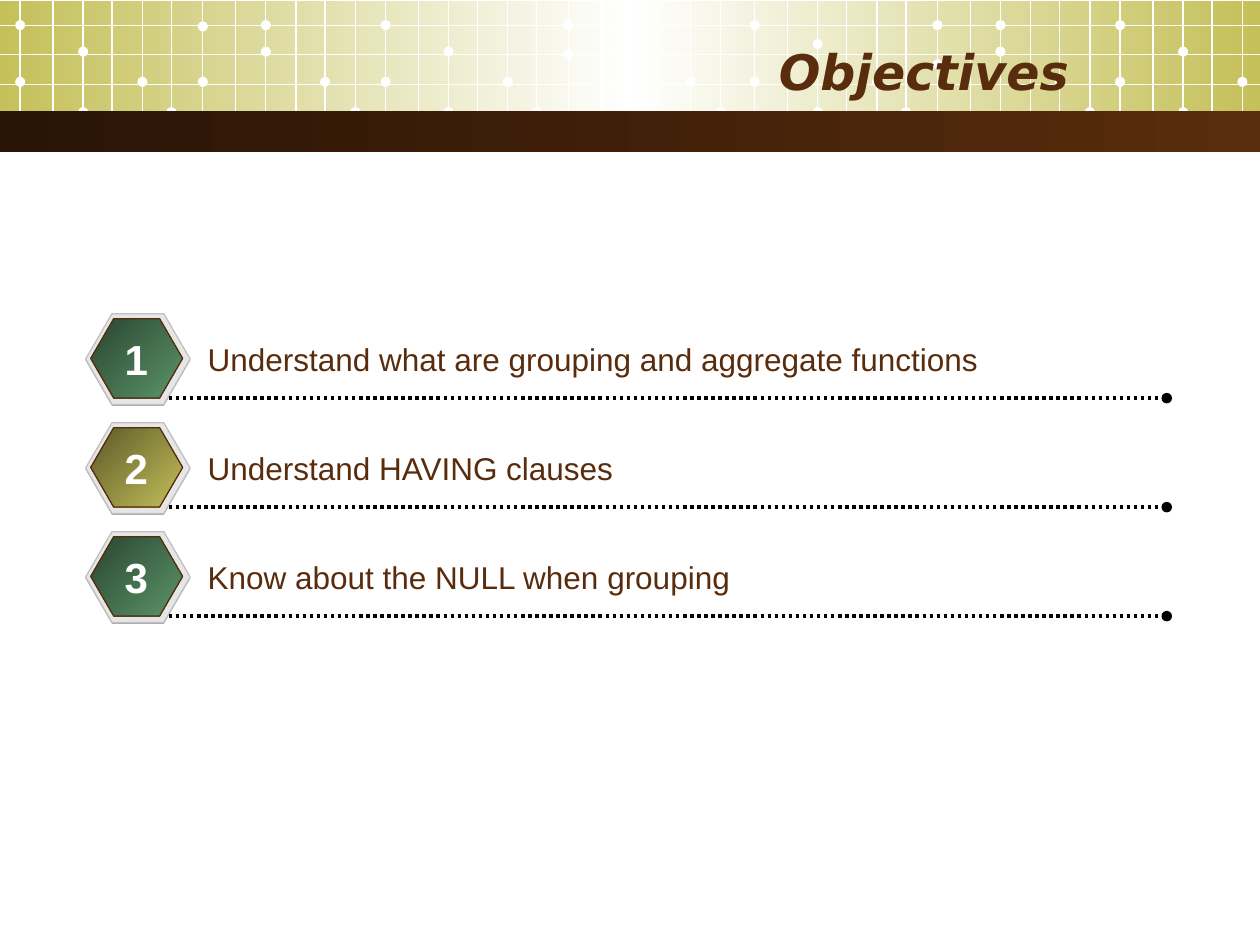
import copy

import pptx
import pptx.dml.color
import pptx.enum.dml
import pptx.enum.shapes
import pptx.enum.text
import pptx.oxml
import pptx.oxml.ns
import pptx.util

TITLE = "Objectives"
OBJECTIVES = [
    ("Understand what are grouping and aggregate functions", "green"),
    ("Understand HAVING clauses", "olive"),
    ("Know about the NULL when grouping", "green"),
]
COLORS = {
    "white": "FFFFFF", "black": "000000", "lime": "C5C059", "brown": "592C0D",
    "dark brown": "291406", "shadow": "808080", "plate": "E6E6E6", "rim": "C0C0C0",
    "dark green": "2A4531", "green": "5B9569", "dark olive": "5B5929", "olive": "C5C059",
}
FORMATS = {
    "title": {"name": "DejaVu Sans", "size": pptx.util.Pt(28), "bold": True, "italic": True},
    "label": {"name": "Arial", "size": pptx.util.Pt(18)},
    "number": {"name": "Arial", "size": pptx.util.Pt(24), "bold": True},
}
WIDTH, HEIGHT = 10, 7.5

# Header mesh: one block of columns repeats across the slide
BLOCK_STARTS = [0.16, 3.06, 5.99, 8.89]
COLUMNS = [0, 0.26, 0.5, 0.73, 0.97, 1.2, 1.45, 1.71, 1.95, 2.19, 2.42, 2.66]
ROWS = [0.2, 0.43, 0.67, 0.89]
MESH_BOTTOM = 1.1
DOT = 0.08
DOT_HEIGHTS = {0: (0.65, 0.2), 2: (0.41, 0.89), 4: (0.65,), 5: (0.89,),
               6: (0.43, 0.2), 8: (0.41, 0.2), 10: (0.65,), 11: (0.89,)}
SPECIAL_DOTS = {(0, 6): (0.65, 0.21), (2, 2): (0.35, 0.89), (2, 6): (0.51, 0.2)}

# Objective rows
FIRST_TOP, PITCH = 2.49, 0.865
BADGE_LEFT, BADGE_SIZE, FACE_SIZE = 0.68, (0.83, 0.72), (0.73, 0.63)

SHAPES = pptx.enum.shapes.MSO_SHAPE
ALIGN = pptx.enum.text.PP_ALIGN


def inches(*values):
    return [pptx.util.Inches(value) for value in values]


def rgb(name):
    return pptx.dml.color.RGBColor.from_string(COLORS[name])


def add_filled(shapes, kind, at, colors, angle=0, outline=None):
    """Add a shape with one colour, or with a gradient of evenly spaced colours."""
    shape = shapes.add_shape(kind, *inches(*at))
    shape.shadow.inherit = False
    if len(colors) == 1:
        shape.fill.solid()
        shape.fill.fore_color.rgb = rgb(colors[0])
    else:
        shape.fill.gradient()
        shape.fill.gradient_angle = -angle % 360
        stop_list = shape._element.spPr.find(".//" + pptx.oxml.ns.qn("a:gsLst"))
        while len(stop_list) < len(colors):
            stop_list.append(copy.deepcopy(stop_list[-1]))
        for index, (stop, color) in enumerate(zip(shape.fill.gradient_stops, colors)):
            stop.position = index / (len(colors) - 1)
            stop.color.rgb = rgb(color)
    if outline:
        shape.line.color.rgb = rgb(outline)
        shape.line.width = pptx.util.Pt(0.75)
    else:
        shape.line.fill.background()
    return shape


def add_line(shapes, ends, color, width):
    straight = pptx.enum.shapes.MSO_CONNECTOR.STRAIGHT
    line = shapes.add_connector(straight, *inches(*ends))
    line.line.color.rgb = rgb(color)
    line.line.width = pptx.util.Pt(width)
    line._element.spPr.append(pptx.oxml.parse_xml(
        f"<a:effectLst {pptx.oxml.ns.nsdecls('a')}/>"))
    return line


def add_text(shapes, at, text, style, color, align=ALIGN.LEFT, wrap=True):
    box = shapes.add_textbox(*inches(*at))
    box.text_frame.word_wrap = wrap
    para = box.text_frame.paragraphs[0]
    para.alignment = align
    span = para.add_run()
    span.text = text
    for name, value in FORMATS[style].items():
        setattr(span.font, name, value)
    span.font.color.rgb = rgb(color)
    return box


def add_header(shapes):
    add_filled(shapes, SHAPES.RECTANGLE, (0, 0.01, WIDTH, 1.02), ["lime", "white", "lime"])
    mesh = shapes.add_group_shape().shapes
    for block, start in enumerate(BLOCK_STARTS):
        for column, offset in enumerate(COLUMNS):
            x = start + offset
            if x > WIDTH:
                break
            add_line(mesh, (x, 0, x, MESH_BOTTOM), "white", 0.75)
            for y in SPECIAL_DOTS.get((block, column), DOT_HEIGHTS.get(column, ())):
                add_filled(mesh, SHAPES.OVAL, (x - DOT / 2, y - DOT / 2, DOT, DOT), ["white"])
    for y in ROWS:
        add_line(mesh, (0, y, WIDTH, y), "white", 0.75)
    add_filled(shapes, SHAPES.RECTANGLE, (0, 0.88, WIDTH, 0.33), ["dark brown", "brown"])
    title = add_text(shapes, (0.5, 0.25, 8.08, 0.62), TITLE, "title", "brown", ALIGN.RIGHT)
    title.text_frame.vertical_anchor = pptx.enum.text.MSO_ANCHOR.MIDDLE


def add_objective(shapes, number, text, color):
    top = FIRST_TOP + PITCH * (number - 1)
    badge = shapes.add_group_shape().shapes
    layers = [
        ((BADGE_LEFT, top + 0.01, *BADGE_SIZE), ["shadow"], None),
        ((BADGE_LEFT, top, *BADGE_SIZE), ["plate"], "rim"),
        ((BADGE_LEFT + 0.04, top + 0.04, *FACE_SIZE), ["dark " + color, color], "brown"),
    ]
    for at, colors, outline in layers:
        hexagon = add_filled(badge, SHAPES.HEXAGON, at, colors, 45, outline)
        hexagon.adjustments[0] = 0.29

    rule = add_line(shapes, (1.34, top + 0.67, 9.26, top + 0.67), "black", 2)
    rule.line.dash_style = pptx.enum.dml.MSO_LINE.ROUND_DOT
    rule.line._get_or_add_ln().append(pptx.oxml.parse_xml(
        f"<a:tailEnd {pptx.oxml.ns.nsdecls('a')} type='oval'/>"))

    label = add_text(shapes, (1.55, top + 0.16, 7.8, 0.4), text, "label", "brown")
    digit = add_text(shapes, (0.89, top + 0.11, 0.38, 0.5), str(number), "number", "white",
                     ALIGN.CENTER, wrap=False)
    for box in (label, digit):
        box.text_frame.auto_size = pptx.enum.text.MSO_AUTO_SIZE.SHAPE_TO_FIT_TEXT


def main():
    deck = pptx.Presentation()
    deck.slide_width, deck.slide_height = inches(WIDTH, HEIGHT)
    page = deck.slides.add_slide(deck.slide_layouts[6])
    add_header(page.shapes)
    for number, (text, color) in enumerate(OBJECTIVES, 1):
        add_objective(page.shapes, number, text, color)
    deck.save("out.pptx")


if __name__ == "__main__":
    main()
